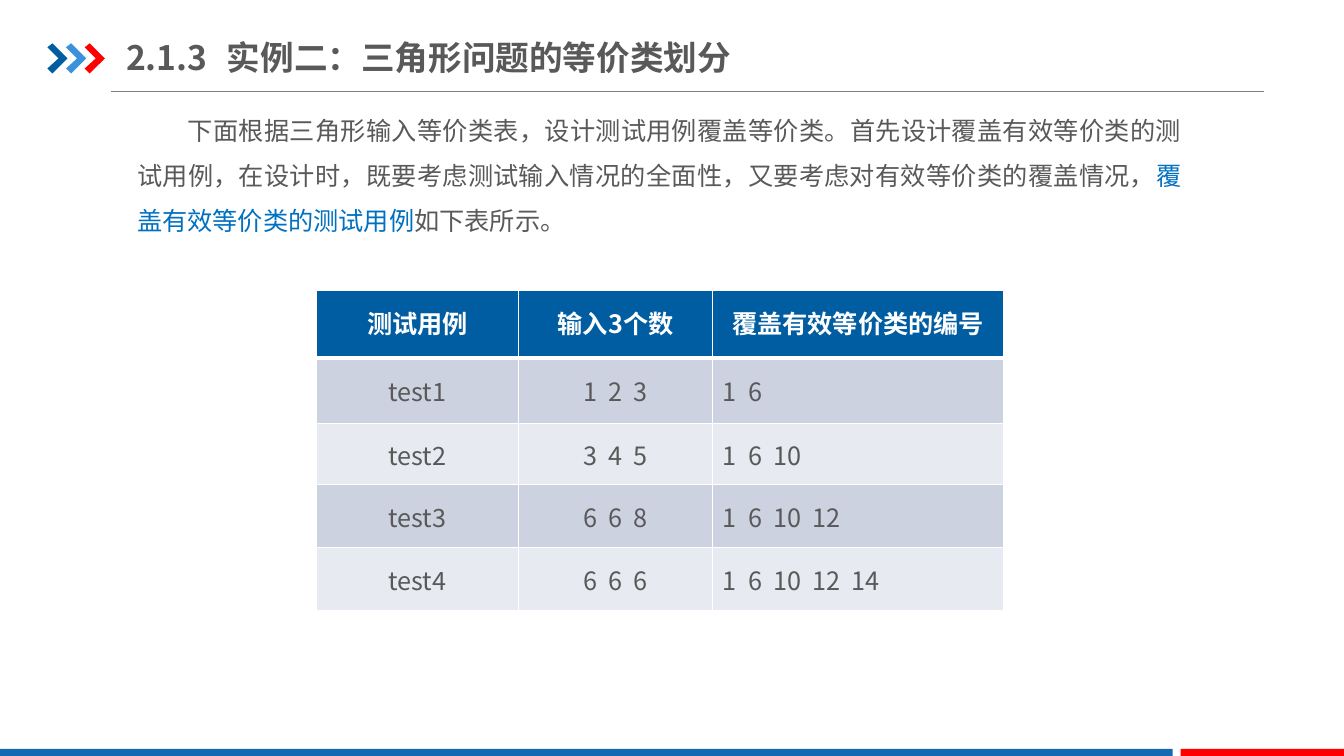
from lxml.etree import SubElement
from pptx import Presentation
from pptx.dml.color import RGBColor
from pptx.enum.shapes import MSO_CONNECTOR as Connector, MSO_SHAPE as Shape
from pptx.enum.text import MSO_ANCHOR as Anchor, MSO_AUTO_SIZE as AutoSize, PP_ALIGN as Align
from pptx.oxml.ns import qn
from pptx.util import Inches, Pt

FONT = "Noto Sans CJK SC"
GREY, WHITE, NAVY, RED = "595959", "FFFFFF", "005DA2", "FF0000"
BANDS = ["CCD2E0", "E7EAF0"]
CHEVRON = [(0, 0.04), (0.05, 0), (0.2, 0.15), (0.05, 0.3), (0, 0.25), (0.11, 0.15)]

ROWS = [
    ["测试用例", "输入3个数", "覆盖有效等价类的编号"],
    ["test1", "1  2  3", "1  6"],
    ["test2", "3  4  5", "1  6  10"],
    ["test3", "6  6  8", "1  6  10  12"],
    ["test4", "6  6  6", "1  6  10  12  14"],
]
INTRO = [
    ("下面根据三角形输入等价类表，设计测试用例覆盖等价类。首先设计覆盖有效等价类的测试用例，"
     "在设计时，既要考虑测试输入情况的全面性，又要考虑对有效等价类的覆盖情况，", GREY),
    ("覆盖有效等价类的测试用例", "0070C0"),
    ("如下表所示。", GREY),
]


def color(value):
    return RGBColor.from_string(value)


class SlideBuilder:
    def __init__(self, page):
        self.page = page
        self.shapes = page.shapes

    def style(self, span, size, ink, bold=False):
        span.font.size = Pt(size)
        span.font.bold = bold
        span.font.color.rgb = color(ink)
        span.font.name = FONT
        SubElement(span._r.get_or_add_rPr(), qn("a:ea"), typeface=FONT)

    def paint(self, shape, fill):
        shape.shadow.inherit = False
        shape.fill.solid()
        shape.fill.fore_color.rgb = color(fill)
        shape.line.fill.background()

    def place(self, box, left, top, width, height, side, anchor):
        box.left, box.top = Inches(left), Inches(top)
        box.width, box.height = Inches(width), Inches(height)
        frame = box.text_frame
        frame.word_wrap = True
        frame.auto_size = AutoSize.NONE
        frame.vertical_anchor = anchor
        frame.margin_left = frame.margin_right = Inches(side)
        frame.margin_top = frame.margin_bottom = Inches(0.07)
        return frame

    def title(self, text, *area):
        frame = self.place(self.shapes.title, *area, 0, Anchor.MIDDLE)
        frame.text = text
        para = frame.paragraphs[0]
        para.alignment = Align.LEFT
        self.style(para.runs[0], 24, GREY, True)

    def body(self, parts, *area):
        frame = self.place(self.page.placeholders[1], *area, 0.13, Anchor.TOP)
        para = frame.paragraphs[0]
        para.alignment = Align.JUSTIFY
        para.line_spacing = 1.5
        para.space_before = Pt(0)
        properties = para._p.get_or_add_pPr()
        properties.set("marL", "0")
        properties.set("indent", str(Inches(0.5)))
        SubElement(properties, qn("a:buNone"))
        for text, ink in parts:
            span = para.add_run()
            span.text = text
            self.style(span, 18, ink)

    def rule(self, left, right, top, ink):
        line = self.shapes.add_connector(
            Connector.STRAIGHT, Inches(left), Inches(top), Inches(right), Inches(top))
        line.line.color.rgb = color(ink)
        line.line.width = Pt(0.75)
        SubElement(line._element.spPr, qn("a:effectLst"))

    def chevron(self, left, top, fill):
        points = [(Inches(left + x), Inches(top + y)) for x, y in CHEVRON]
        builder = self.shapes.build_freeform(*points[0])
        builder.add_line_segments(points[1:], close=True)
        self.paint(builder.convert_to_shape(), fill)

    def bar(self, left, width, fill):
        shape = self.shapes.add_shape(
            Shape.RECTANGLE, Inches(left), Inches(7.43), Inches(width), Inches(0.09))
        self.paint(shape, fill)

    def borders(self, cell, top, bottom):
        properties = cell._tc.get_or_add_tcPr()
        for side, width in (("L", 1), ("R", 1), ("T", top), ("B", bottom)):
            line = SubElement(properties, qn(f"a:ln{side}"), w=str(Pt(width)))
            SubElement(SubElement(line, qn("a:solidFill")), qn("a:srgbClr"), val=WHITE)

    def cell(self, cell, text, row, column):
        header = row == 0
        self.borders(cell, 3 if row == 1 else 1, 3 if header else 1)
        cell.fill.solid()
        cell.fill.fore_color.rgb = color(NAVY if header else BANDS[(row - 1) % 2])
        cell.vertical_anchor = Anchor.MIDDLE
        cell.text = text
        para = cell.text_frame.paragraphs[0]
        para.alignment = Align.CENTER if header or column < 2 else Align.LEFT
        if header:
            para.line_spacing = 0.9
        self.style(para.runs[0], 18, WHITE if header else GREY, header)

    def table(self, rows, left, top, widths, heights):
        table = self.shapes.add_table(
            len(rows), len(widths), Inches(left), Inches(top),
            Inches(sum(widths)), Inches(sum(heights))).table
        for column, width in zip(table.columns, widths):
            column.width = Inches(width)
        for line, height in zip(table.rows, heights):
            line.height = Inches(height)
        for row, texts in enumerate(rows):
            for column, text in enumerate(texts):
                self.cell(table.cell(row, column), text, row, column)


def main():
    deck = Presentation()
    deck.slide_width, deck.slide_height = Inches(13.33), Inches(7.5)
    slide = SlideBuilder(deck.slides.add_slide(deck.slide_layouts[1]))
    slide.rule(1.1, 12.54, 0.91, "808080")
    for index, fill in enumerate([NAVY, "3992DB", RED]):
        slide.chevron(0.47 + 0.185 * index, 0.43, fill)
    slide.bar(0, 11.63, "1369B2")
    slide.bar(11.71, 1.62, RED)
    slide.body(INTRO, 1.23, 0.92, 10.62, 1.48)
    slide.title("2.1.3\t实例二：三角形问题的等价类划分", 1.25, 0.29, 7.05, 0.55)
    slide.table(ROWS, 3.14, 2.88, [2, 1.93, 2.88], [0.67, 0.65, 0.61, 0.62, 0.63])
    deck.save("out.pptx")


if __name__ == "__main__":
    main()
